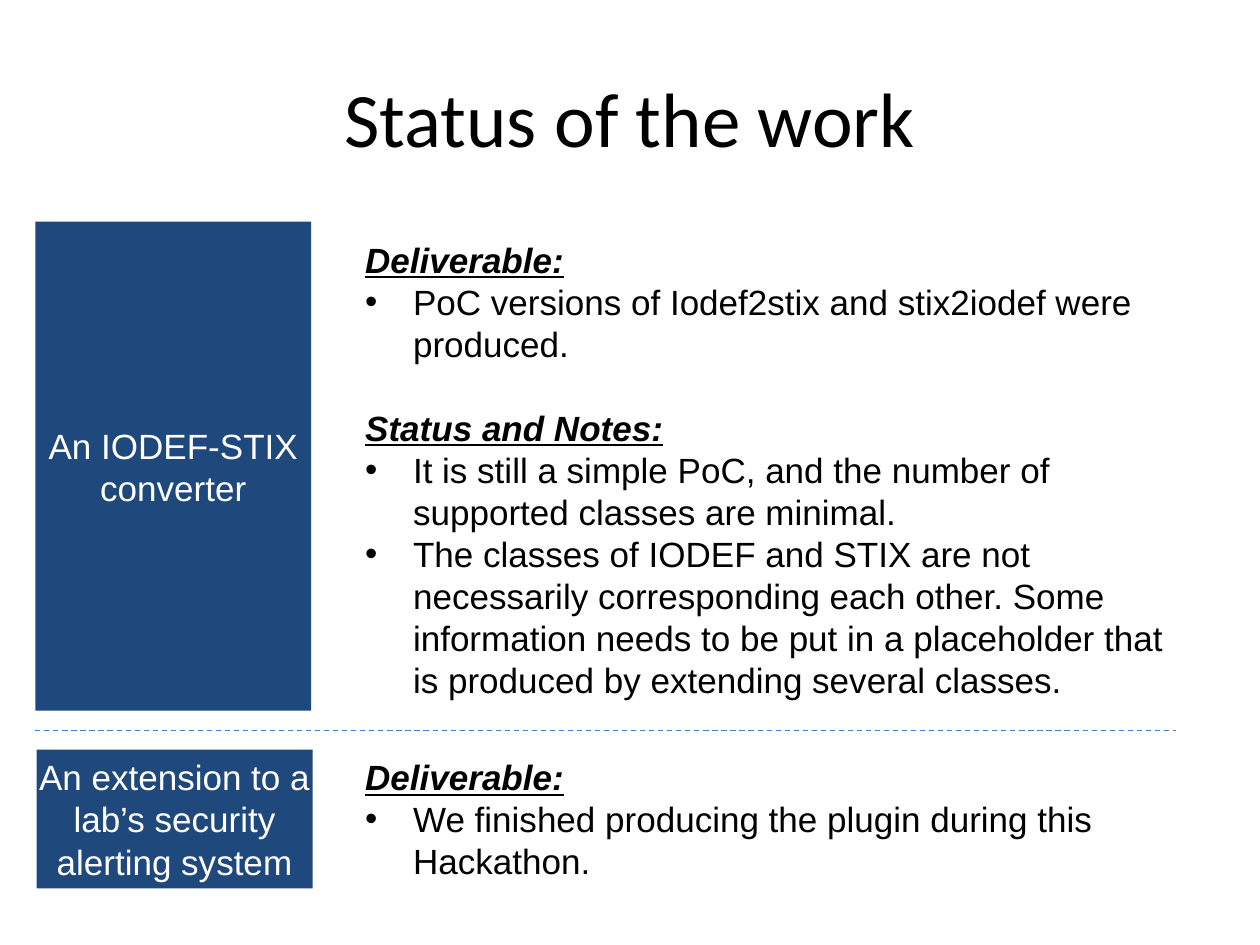
from lxml import etree
from pptx import Presentation
from pptx.dml.color import RGBColor
from pptx.enum.dml import MSO_LINE
from pptx.enum.shapes import MSO_CONNECTOR, MSO_SHAPE
from pptx.enum.text import MSO_ANCHOR, PP_ALIGN
from pptx.oxml.ns import qn
from pptx.util import Inches, Pt

CENTER, MIDDLE = PP_ALIGN.CENTER, MSO_ANCHOR.MIDDLE
NAVY = RGBColor(0x1F, 0x49, 0x7D)
BLUE = RGBColor(0x4B, 0x7E, 0xBC)
BLACK = RGBColor(0, 0, 0)
WHITE = RGBColor(0xFF, 0xFF, 0xFF)

# Content: label, label box, notes top and height, headings with bullets
TITLE = "Status of the work"
TOPICS = [
    ("An IODEF-STIX converter", (0.28, 1.76, 2.19, 3.88), (1.84, 3.8), [
        ("Deliverable:", [
            "PoC versions of Iodef2stix and stix2iodef were produced."]),
        ("Status and Notes:", [
            "It is still a simple PoC, and the number of supported classes are minimal.",
            "The classes of IODEF and STIX are not necessarily corresponding each other. "
            "Some information needs to be put in a placeholder that is produced by "
            "extending several classes."]),
    ]),
    ("An extension to a lab’s security alerting system", (0.29, 5.95, 2.19, 1.1), (5.95, 1.11), [
        ("Deliverable:", [
            "We finished producing the plugin during this Hackathon."]),
    ]),
]
NOTES_LEFT, NOTES_WIDTH = 2.8, 6.69
DIVIDER_LEFT, DIVIDER_RIGHT, DIVIDER_TOP = 0.28, 9.33, 5.8


def style(para, color, size=20, name="Arial"):
    para.font.name, para.font.size = name, Pt(size)
    para.font.color.rgb = color


def add_text_box(left, top, width, height):
    box = page.shapes.add_textbox(*map(Inches, (left, top, width, height)))
    box.text_frame.word_wrap = True
    return box.text_frame


def add_label(text, area):
    label = page.shapes.add_shape(MSO_SHAPE.ROUNDED_RECTANGLE, *map(Inches, area))
    label.adjustments[0] = 0
    label.shadow.inherit = False
    label.fill.solid()
    label.fill.fore_color.rgb = NAVY
    label.line.fill.background()
    frame = label.text_frame
    frame.word_wrap, frame.vertical_anchor = True, MIDDLE
    frame.margin_left = frame.margin_right = frame.margin_top = frame.margin_bottom = 0
    para = frame.paragraphs[0]
    para.text, para.alignment = text, CENTER
    style(para, WHITE)


def add_bullet(para):
    props = para._p.get_or_add_pPr()
    props.set("marL", str(Inches(0.38)))
    props.set("indent", str(-Inches(0.38)))
    etree.SubElement(props, qn("a:buFont")).set("typeface", "Arial")
    etree.SubElement(props, qn("a:buChar")).set("char", "•")


def add_notes(top, height, sections):
    frame = add_text_box(NOTES_LEFT, top, NOTES_WIDTH, height)
    lines = [(text, text == heading)
             for heading, bullets in sections for text in [heading, *bullets]]
    for index, (text, is_heading) in enumerate(lines):
        para = frame.add_paragraph() if index else frame.paragraphs[0]
        para.text = text
        if is_heading:
            para.font.bold = para.font.italic = para.font.underline = True
            if index:
                para.space_before = Pt(24)
        else:
            add_bullet(para)
        style(para, BLACK)


deck = Presentation()
deck.slide_width, deck.slide_height = Inches(10), Inches(7.5)
page = deck.slides.add_slide(deck.slide_layouts[6])

# Title
title = add_text_box(0.5, 0.3, 9, 1.25)
title.vertical_anchor = MIDDLE
title.paragraphs[0].text = TITLE
title.paragraphs[0].alignment = CENTER
style(title.paragraphs[0], BLACK, 44, "Calibri")

# Topics
for label_text, label_area, notes_span, sections in TOPICS:
    add_label(label_text, label_area)
    add_notes(*notes_span, sections)

# Dashed divider
divider = page.shapes.add_connector(
    MSO_CONNECTOR.STRAIGHT,
    *map(Inches, (DIVIDER_LEFT, DIVIDER_TOP, DIVIDER_RIGHT, DIVIDER_TOP)))
divider.line.color.rgb = BLUE
divider.line.width = Pt(0.75)
divider.line.dash_style = MSO_LINE.DASH
etree.SubElement(divider._element.spPr, qn("a:effectLst"))

deck.save("out.pptx")
